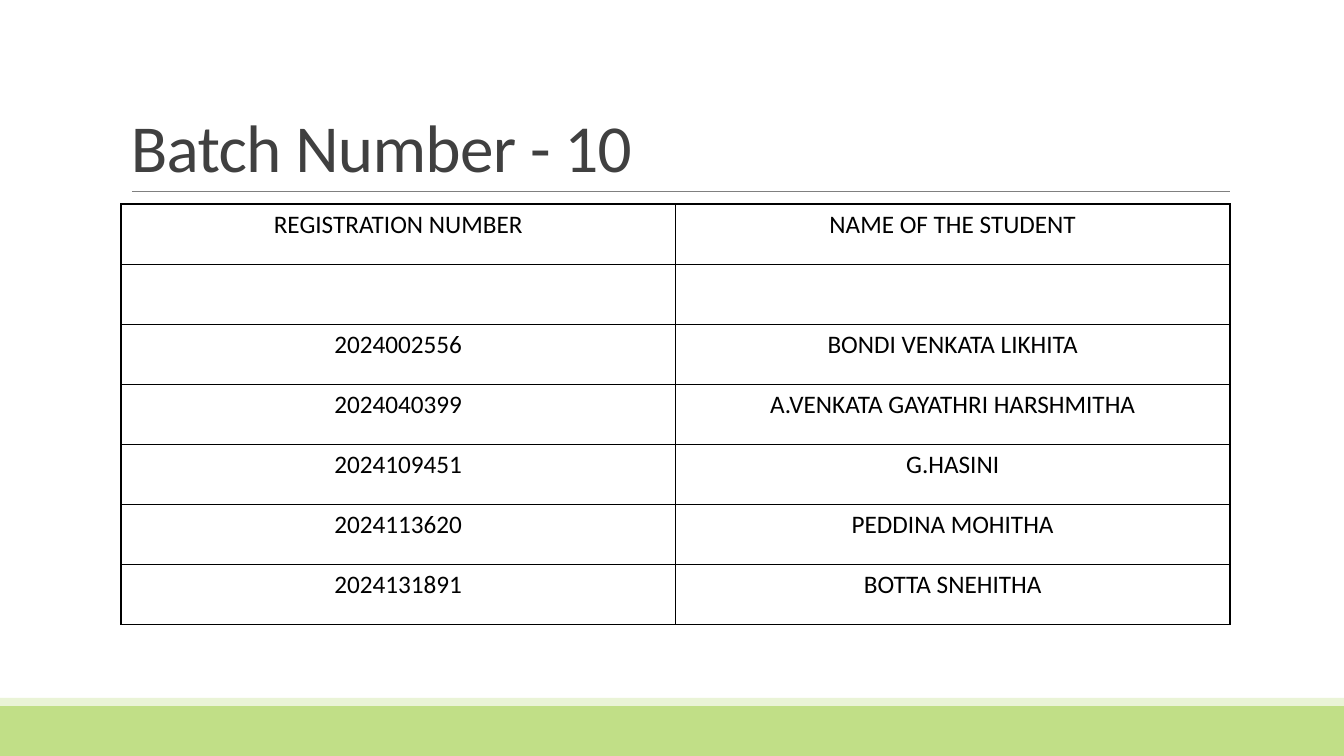
from pptx import Presentation, util as u
from pptx.dml.color import RGBColor
from pptx.enum import shapes, text
from pptx.oxml import parse_xml
from pptx.oxml.ns import nsdecls

px = 914400 / 100.8
theme = {
    "font": "Calibri", "title": 48, "cell": 18,
    "green": "C1DF87", "pale": "EAF4D7", "rule": "808080",
    "head": "404040", "ink": "000000",
}


def box(*sides):
    return [round(side * px) for side in sides]


def write(frame, words, size, tint, align):
    para = frame.paragraphs[0]
    para.alignment = align
    run = para.add_run()
    run.text = words
    look = {"name": theme["font"], "size": u.Pt(theme[size])}
    for key, value in look.items():
        setattr(run.font, key, value)
    run.font.color.rgb = RGBColor.from_string(theme[tint])
    return para, run


deck = Presentation()
deck.slide_width, deck.slide_height = box(1344, 756)
slide = deck.slides.add_slide(deck.slide_layouts[6])

for tint, top, high in (("green", 706, 50), ("pale", 698, 8)):
    band = slide.shapes.add_shape(shapes.MSO_SHAPE.RECTANGLE, *box(0, top, 1344, high))
    band.shadow.inherit = False
    band.fill.solid()
    band.fill.fore_color.rgb = RGBColor.from_string(theme[tint])
    band.line.fill.background()

rule = slide.shapes.add_connector(shapes.MSO_CONNECTOR.STRAIGHT, *box(132, 191, 1230, 191))
rule.line.color.rgb = RGBColor.from_string(theme["rule"])
rule.line.width = u.Pt(0.5)
rule._element.spPr.append(parse_xml(f"<a:effectLst {nsdecls('a')}/>"))

title = slide.shapes.add_textbox(*box(121, 31, 1109, 160)).text_frame
title.word_wrap = True
title.vertical_anchor = text.MSO_ANCHOR.BOTTOM
para, run = write(title, "Batch Number - 10", "title", "head", text.PP_ALIGN.LEFT)
para.line_spacing = 0.85
run.font._element.set("spc", "-50")

rows = [
    ("REGISTRATION NUMBER", "NAME OF THE STUDENT"),
    ("", ""),
    ("2024002556", "BONDI VENKATA LIKHITA"),
    ("2024040399", "A.VENKATA GAYATHRI HARSHMITHA"),
    ("2024109451", "G.HASINI"),
    ("2024113620", "PEDDINA MOHITHA"),
    ("2024131891", "BOTTA SNEHITHA"),
]
grid = slide.shapes.add_table(len(rows), 2, *box(121, 204, 1109, 421)).table
grid.first_row = grid.horz_banding = False
for row, names in enumerate(rows):
    for col, name in enumerate(names):
        cell = grid.cell(row, col)
        if name:
            write(cell.text_frame, name, "cell", "ink", text.PP_ALIGN.CENTER)
        props = cell._tc.get_or_add_tcPr()
        for side in "LRTB":
            props.append(parse_xml(
                f'<a:ln{side} {nsdecls("a")} w="12700"><a:solidFill>'
                f'<a:srgbClr val="{theme["ink"]}"/></a:solidFill></a:ln{side}>'))
        cell.fill.background()

deck.save("out.pptx")
